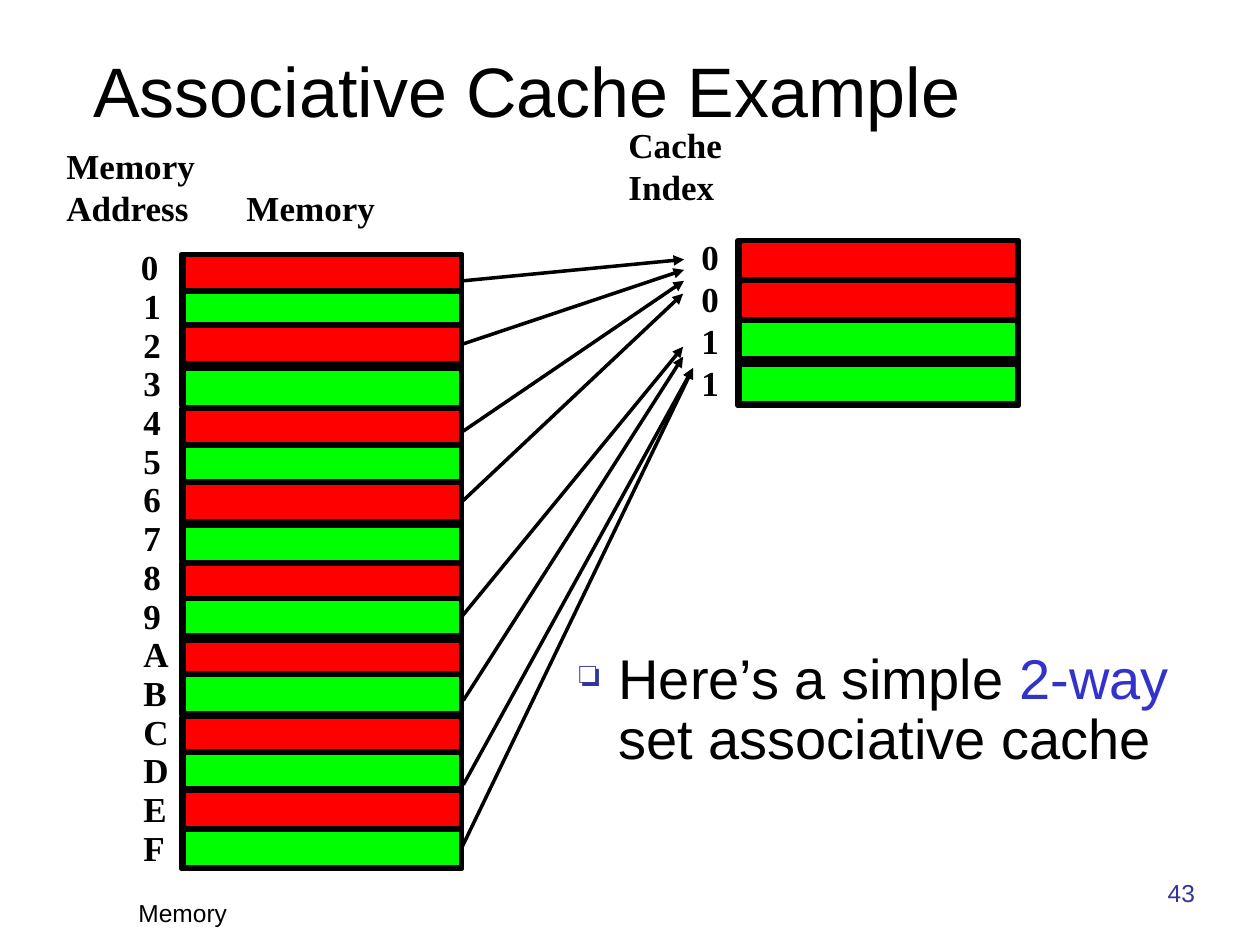
import pptx
import pptx.dml.color
import pptx.enum.shapes
import pptx.enum.text
import pptx.oxml
import pptx.oxml.ns
import pptx.util

Cm, Pt = pptx.util.Cm, pptx.util.Pt
ANCHOR = pptx.enum.text.MSO_ANCHOR
ALIGN = pptx.enum.text.PP_ALIGN

COLORS = {"black": "000000", "red": "FF0000", "green": "00FF00",
          "navy": "333399", "blue": "3333CC"}
SANS, SERIF = "Arial", "Times New Roman"

# All lengths are in centimetres.
TITLE = "Associative Cache Example"
BULLET_RUNS = [("Here’s a simple ", "black"), ("2-way", "blue"),
               (" set associative cache", "black")]
HEADINGS = [  # text, box
    ("Memory", (4.72, 3.63, 3.1, 1.09)),
    ("Memory \vAddress", (1.09, 2.79, 3.28, 1.93)),
    ("Cache\nIndex", (12.42, 2.36, 2.57, 1.93)),
]

ADDRESSES = "0123456789ABCDEF"
LABEL_WIDTHS = {"A": 1.02, "B": 0.97, "C": 1.02, "D": 1.02, "E": 0.97, "F": 0.93}
DIGIT_WIDTH, LABEL_HEIGHT = 0.86, 1.09
ADDRESS_LEFT, ADDRESS_TOP, ADDRESS_PITCH = 2.64, 4.83, 0.78
MEMORY_TOPS = [5.13, 5.87, 6.55, 7.42, 8.23, 8.97, 9.73, 10.59,
               11.35, 12.07, 12.9, 13.59, 14.45, 15.16, 15.93, 16.71]
MEMORY_HEIGHTS = [0.74, 0.74, 0.79, 0.79]  # repeats in each block of four
MEMORY_LEFT, MEMORY_TOP = 3.66, 5.13
BLOCK_COUNT, BLOCK_PITCH, BLOCK_HEIGHT = 4, 3.11, 3.05

CACHE_SLOTS = [("0", 4.85, "red"), ("0", 5.66, "red"),
               ("1", 6.45, "green"), ("1", 7.34, "green")]
CACHE_LEFT, CACHE_TOP, CACHE_HEIGHT, SLOT_HEIGHT = 14.88, 4.85, 3.33, 0.79
INDEX_LEFT, INDEX_TOP, INDEX_PITCH = 13.89, 4.62, 0.85
FRAME_WIDTH, CELL_INSET, CELL_WIDTH = 5.65, 0.03, 5.61

ARROW_LEFT = 9.34
ARROWS = [  # memory address, start height (None: middle of the cell), end point
    ("0", 5.66, (13.79, 5.23)),
    ("2", None, (13.79, 5.44)),
    ("4", 8.69, (13.79, 5.66)),
    ("6", None, (13.77, 5.92)),
    ("F", None, (13.97, 7.42)),
    ("D", 15.82, (13.97, 7.42)),
    ("B", 14.12, (13.77, 7.19)),
    ("9", None, (13.77, 6.99)),
]


def rgb(name):
    return pptx.dml.color.RGBColor.from_string(COLORS[name])


def format_run(run, size, font, color, bold=False):
    run.font.size = Pt(size)
    run.font.name = font
    run.font.bold = bold
    run.font.color.rgb = rgb(color)


def add_text(slide, text, box, size, font=SANS, color="black", bold=False,
             wrap=True, anchor=ANCHOR.TOP, align=ALIGN.LEFT):
    text_box = slide.shapes.add_textbox(*map(Cm, box))
    frame = text_box.text_frame
    frame.word_wrap = wrap
    frame.vertical_anchor = anchor
    frame.text = text
    for paragraph in frame.paragraphs:
        paragraph.alignment = align
        for run in paragraph.runs:
            format_run(run, size, font, color, bold)
    return text_box


def add_label(slide, text, box):
    label = add_text(slide, text, box, 20, SERIF, bold=True, wrap=False)
    label.text_frame.auto_size = pptx.enum.text.MSO_AUTO_SIZE.SHAPE_TO_FIT_TEXT


def add_rectangle(slide, box, fill=None):
    shape = slide.shapes.add_shape(pptx.enum.shapes.MSO_SHAPE.RECTANGLE, *map(Cm, box))
    shape.shadow.inherit = False
    shape.line.color.rgb = rgb("black")
    shape.line.width = Pt(3)
    if fill:
        shape.fill.solid()
        shape.fill.fore_color.rgb = rgb(fill)
    else:
        shape.fill.background()
    return shape


def add_line(slide, start, end, width):
    line = slide.shapes.add_connector(
        pptx.enum.shapes.MSO_CONNECTOR.STRAIGHT, *map(Cm, start + end))
    line.line.color.rgb = rgb("black")
    line.line.width = Pt(width)
    pptx.oxml.ns  # namespace helpers used below
    line.element.spPr.append(pptx.oxml.parse_xml(
        f"<a:effectLst {pptx.oxml.ns.nsdecls('a')}/>"))
    return line


def add_frame(slide, left, top, height, rows=4):
    """Draw an outlined block with its row dividers."""
    add_rectangle(slide, (left, top, FRAME_WIDTH, height))
    for row in range(1, rows):
        divider = top + row * height / rows
        add_line(slide, (left, divider), (left + FRAME_WIDTH, divider), 3)


def add_memory(slide):
    """Draw the memory column and return its cells by address."""
    for block in range(BLOCK_COUNT):
        add_frame(slide, MEMORY_LEFT, MEMORY_TOP + block * BLOCK_PITCH, BLOCK_HEIGHT)
    cells = {}
    for row, (address, top) in enumerate(zip(ADDRESSES, MEMORY_TOPS)):
        add_label(slide, address,
                  (ADDRESS_LEFT - (0.05 if row == 0 else 0),
                   ADDRESS_TOP + row * ADDRESS_PITCH,
                   LABEL_WIDTHS.get(address, DIGIT_WIDTH), LABEL_HEIGHT))
        cells[address] = add_rectangle(
            slide, (MEMORY_LEFT + CELL_INSET, top, CELL_WIDTH, MEMORY_HEIGHTS[row % 4]),
            "green" if row % 2 else "red")
    return cells


def add_cache(slide):
    add_frame(slide, CACHE_LEFT, CACHE_TOP, CACHE_HEIGHT)
    for row, (index, top, color) in enumerate(CACHE_SLOTS):
        add_label(slide, index, (INDEX_LEFT, INDEX_TOP + row * INDEX_PITCH,
                                 DIGIT_WIDTH, LABEL_HEIGHT))
        add_rectangle(slide, (CACHE_LEFT + CELL_INSET, top, CELL_WIDTH, SLOT_HEIGHT), color)


def add_arrows(slide, cells):
    for address, height, end in ARROWS:
        arrow = add_line(slide, (ARROW_LEFT, height or end[1]), end, 2)
        if height is None:
            arrow.begin_connect(cells[address], 3)
        arrow.line._get_or_add_ln().append(pptx.oxml.parse_xml(
            f"<a:tailEnd {pptx.oxml.ns.nsdecls('a')} type='triangle'/>"))


def add_bullet(slide):
    text_box = add_text(slide, "", (11.43, 13, 13.34, 2.87), 32)
    paragraph = text_box.text_frame.paragraphs[0]
    paragraph.line_spacing = 0.9
    properties = paragraph._p.get_or_add_pPr()
    properties.set("marL", str(Cm(0.79)))
    properties.set("indent", str(Cm(-0.79)))
    for tag in (f"buClr {{}}><a:srgbClr val='{COLORS['navy']}'/></a:buClr",
                "buSzPct {} val='65000'/", "buChar {} char='❏'/"):
        properties.append(pptx.oxml.parse_xml(
            f"<a:{tag.format(pptx.oxml.ns.nsdecls('a'))}>"))
    for text, color in BULLET_RUNS:
        run = paragraph.add_run()
        run.text = text
        format_run(run, 32, SANS, color)


def main():
    presentation = pptx.Presentation()
    presentation.slide_width, presentation.slide_height = Cm(25.4), Cm(19.05)
    slide = presentation.slides.add_slide(presentation.slide_layouts[6])
    add_text(slide, "Memory", (2.54, 17.98, 5.28, 0.84), 14, anchor=ANCHOR.BOTTOM)
    add_text(slide, "43", (21.16, 17.58, 3.18, 0.84), 14, color="navy",
             anchor=ANCHOR.BOTTOM, align=ALIGN.RIGHT)
    add_text(slide, TITLE, (1.63, 1.24, 22.3, 1.14), 40, anchor=ANCHOR.MIDDLE)
    add_bullet(slide)
    for text, box in HEADINGS:
        add_label(slide, text, box)
    cells = add_memory(slide)
    add_cache(slide)
    add_arrows(slide, cells)
    presentation.save("out.pptx")


if __name__ == "__main__":
    main()
